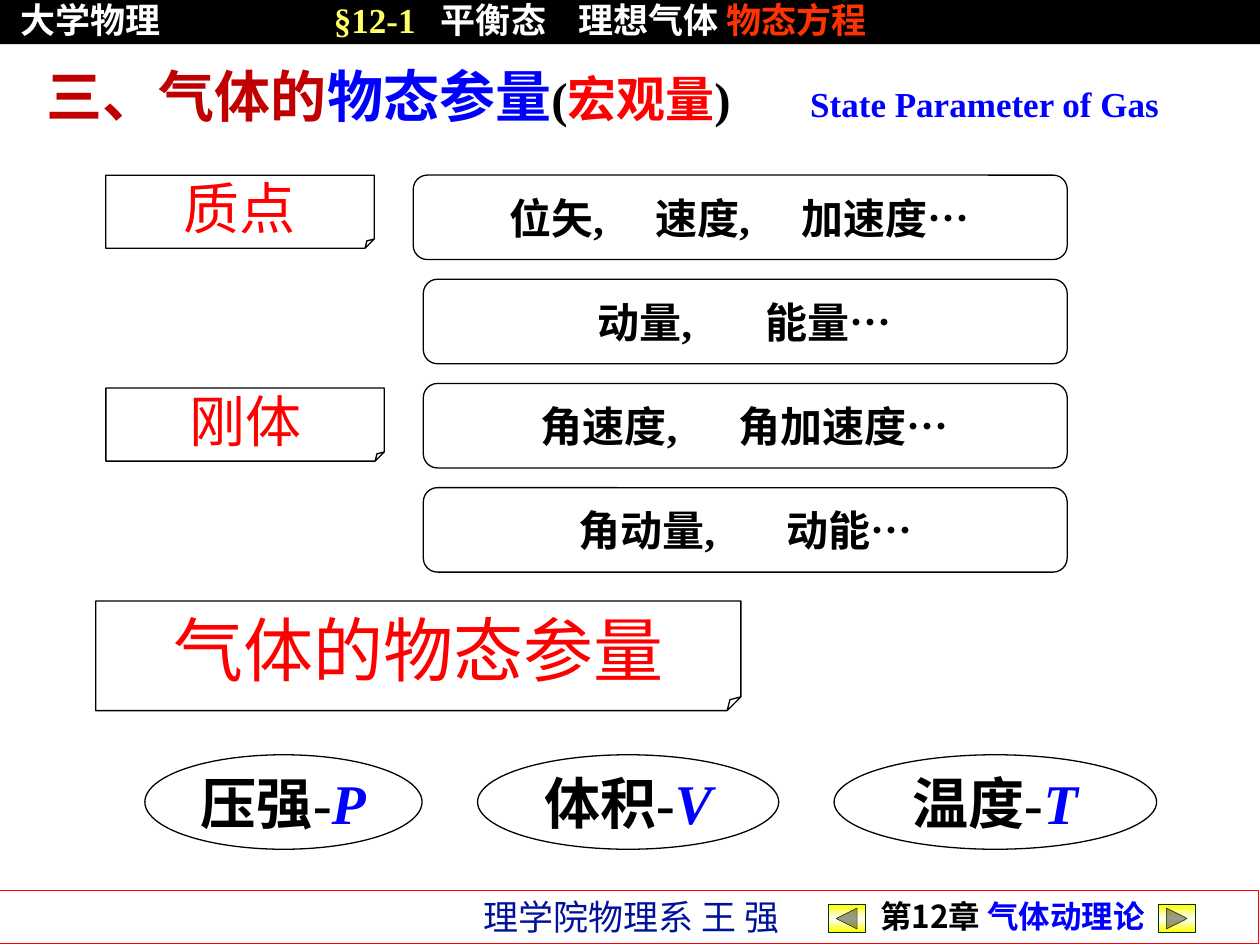
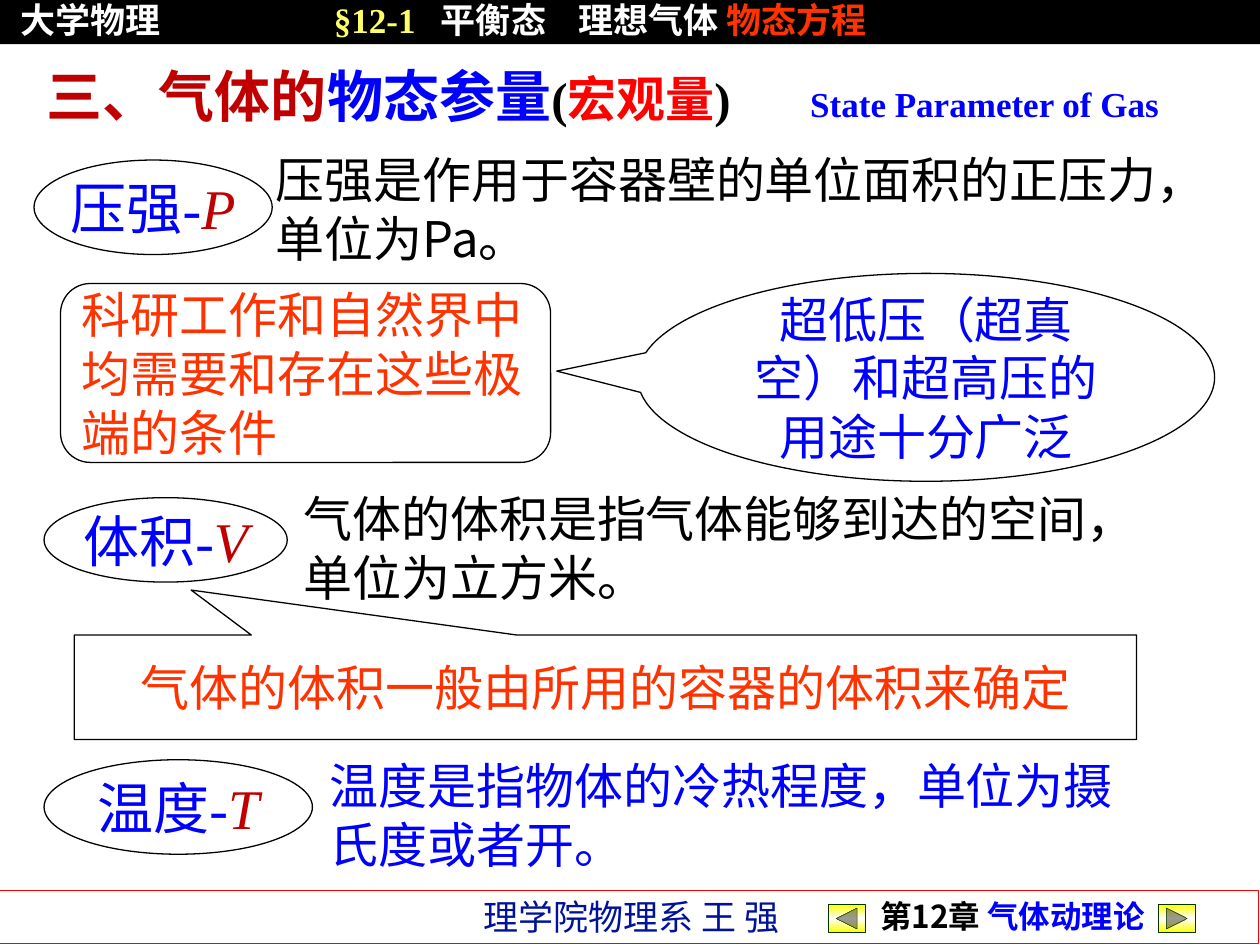
from lxml.etree import SubElement
from pptx import Presentation
from pptx.dml.color import RGBColor
from pptx.enum.shapes import MSO_SHAPE as Preset
from pptx.enum.text import MSO_ANCHOR as Anchor, MSO_AUTO_SIZE as AutoSize, PP_ALIGN as Align
from pptx.oxml.ns import qn
from pptx.util import Inches, Pt

COLORS = {
    "black": "000000", "white": "FFFFFF", "yellow": "FFFF00", "pale": "FFFF66",
    "orange": "FF3300", "red": "FF0000", "wine": "C00000", "blue": "0000FF",
    "navy": "00129A", "green": "003300",
}
SERIF, SANS = "Times New Roman", "Noto Sans CJK SC"
COLUMNS, ROWS = 100, 75
TITLE_ONLY = 5


def color(key):
    """Return the palette colour of that name."""
    return RGBColor.from_string(COLORS[key])


def write(paragraph, text, size=28, hue="black", face=SERIF, bold=False, italic=False):
    """Add one formatted run to a paragraph."""
    run = paragraph.add_run()
    run.text = text
    font = run.font
    font.size, font.name, font.bold, font.italic = Pt(size), face, bold, italic
    font.color.rgb = color(hue)
    SubElement(font._element, qn("a:ea"), typeface=SANS)


class Deck:
    """Holds the style and the current slide, and draws each kind of element."""

    def __init__(self):
        """Start an empty deck."""
        self.show = Presentation()
        self.show.slide_width, self.show.slide_height = Inches(10), Inches(7.5)
        self.slide = None

    def area(self, left, top, width, height):
        """Turn grid columns and rows into slide lengths."""
        column, row = self.show.slide_width / COLUMNS, self.show.slide_height / ROWS
        return [round(n * unit) for n, unit in zip((left, top, width, height), (column, row) * 2)]

    def fill_text(self, holder, lines, align=Align.LEFT, anchor=Anchor.TOP, wrap=True,
                  stops=(), start=0, spacing=None, **base):
        """Write lines of (text, format) runs, with stops as slide columns."""
        frame = holder.text_frame
        frame.word_wrap, frame.auto_size, frame.vertical_anchor = wrap, AutoSize.NONE, anchor
        frame.margin_left = frame.margin_right = Inches(0.1)
        frame.margin_top = frame.margin_bottom = Inches(0.05)
        if stops:
            frame.margin_left = self.area(stops[0] - start, 0, 0, 0)[0]
        for index, runs in enumerate(lines):
            paragraph = frame.add_paragraph() if index else frame.paragraphs[0]
            paragraph.alignment = align
            if spacing:
                paragraph.line_spacing = spacing
            if stops[1:]:
                tabs = SubElement(paragraph._p.get_or_add_pPr(), qn("a:tabLst"))
                for stop in stops[1:]:
                    reach = self.area(stop - stops[0], 0, 0, 0)[0]
                    SubElement(tabs, qn("a:tab"), pos=str(reach), algn="l")
            for text, style in runs:
                write(paragraph, text, **{**base, **style})

    def shape(self, preset, area, lines=(), adjust=None, fill=None, line="black", weight=0.75, **text):
        """Draw a preset shape, with centred text unless told otherwise."""
        figure = self.slide.shapes.add_shape(preset, *self.area(*area))
        figure.shadow.inherit = False
        if adjust:
            guides = figure._element.spPr.find(".//" + qn("a:avLst"))
            guides.clear()
            for name, share in adjust.items():
                SubElement(guides, qn("a:gd"), name=name, fmla=f"val {round(share * 100000)}")
        if fill:
            figure.fill.solid()
            figure.fill.fore_color.rgb = color(fill)
        else:
            figure.fill.background()
        if line:
            figure.line.color.rgb, figure.line.width = color(line), Pt(weight)
        else:
            figure.line.fill.background()
        defaults = dict(align=Align.CENTER, anchor=Anchor.MIDDLE, wrap=False, start=area[0])
        self.fill_text(figure, lines, **{**defaults, **text})
        return figure

    def note(self, area, lines, **text):
        """Place a plain text box."""
        self.fill_text(self.slide.shapes.add_textbox(*self.area(*area)), lines, **text)

    def button(self, preset, left):
        """Draw a navigation button with a yellow sheen."""
        button = self.shape(preset, (left, 71.8, 3, 2.2), line="green", weight=0.25)
        button.fill.gradient()
        button.fill.gradient_angle = 90
        sheen = button._element.spPr.find(".//" + qn("a:gsLst"))
        sheen.clear()
        for share, hue in ((0, "yellow"), (50, "white"), (100, "yellow")):
            stop = SubElement(sheen, qn("a:gs"), pos=str(share * 1000))
            SubElement(stop, qn("a:srgbClr"), val=COLORS[hue])

    def quantity(self, area, name, symbol, hue, accent, bold=False):
        """Draw an oval with a quantity and its symbol."""
        runs = [(name + "-", dict(hue=hue)), (symbol, dict(hue=accent, italic=True))]
        self.shape(Preset.OVAL, area, [runs], size=32, bold=bold)

    def new_slide(self):
        """Add a slide with the shared band, footer and title."""
        self.slide = self.show.slides.add_slide(self.show.slide_layouts[TITLE_ONLY])
        title = self.slide.shapes.title
        title.left, title.top, title.width, title.height = self.area(2.7, 4.4, 96.1, 6.4)
        self.fill_text(title, [[
            ("三、气体的", dict(hue="wine")), ("物态参量", dict(hue="blue")),
            ("(", dict(size=28)), ("宏观量", dict(size=28, hue="red")), (")\t", dict(size=28)),
            ("State Parameter of Gas", dict(size=20, hue="blue")),
        ]], size=32, bold=True, stops=(3.7, 64.3), start=2.7)
        self.shape(Preset.RECTANGLE, (0, 0, 100, 3.5), [[
            ("大学物理\t", dict(hue="white", face=SANS)), ("§12-1\t", dict(hue="pale")),
            ("平衡态\t理想气体 ", dict(hue="white")), ("物态方程", dict(hue="orange")),
        ]], fill="black", line=None, size=20, bold=True, align=Align.LEFT, anchor=Anchor.TOP,
            wrap=True, stops=(1.6, 26.5, 35, 45.9), spacing=0.8)
        self.note((64.9, 71.3, 30.9, 3.4), [[("第12章", {}), (" 气体动理论", dict(hue="blue"))]],
                  size=18, face=SANS, bold=True, align=Align.CENTER, spacing=0.8)
        self.note((37.4, 70.6, 27, 4.4), [[("理学院物理系 王 强", {})]],
                  size=20, face=SANS, hue="navy", wrap=False)
        self.shape(Preset.RECTANGLE, (-0.1, 70.7, 100, 4.2), line="red")
        self.button(Preset.ACTION_BUTTON_BACK_OR_PREVIOUS, 65.7)
        self.button(Preset.ACTION_BUTTON_FORWARD_OR_NEXT, 91.9)


def parameters(deck):
    """Build the overview of state parameters."""
    deck.new_slide()
    for area, subject, size in (
        ((8.4, 13.9, 21.3, 5.8), "质点", 32),
        ((8.4, 30.8, 22.1, 5.8), "刚体", 32),
        ((7.6, 47.7, 51.2, 8.7), "气体的物态参量", 40),
    ):
        deck.shape(Preset.FOLDED_CORNER, area, [[(subject, {})]], adjust=dict(adj=0.125),
                   size=size, hue="red")
    features = (
        (32.8, "位矢,\t速度,\t加速度…", (40.1, 51.7, 63.3)),
        (33.6, "动量,\t能量…", (47.1, 60.4)),
        (33.6, "角速度,\t角加速度…", (42.6, 58.3)),
        (33.6, "角动量,\t动能…", (45.6, 62.1)),
    )
    for row, (left, feature, stops) in enumerate(features):
        deck.shape(Preset.ROUNDED_RECTANGLE, (left, 13.9 + 8.27 * row, 84.7 - left, 6.7),
                   [[(feature, {})]], size=24, bold=True,
                   align=Align.LEFT, wrap=True, stops=stops)
    for left, width, name, symbol in (
        (11.5, 22, "压强", "P"), (37.9, 23.9, "体积", "V"), (66.2, 25.6, "温度", "T"),
    ):
        deck.quantity((left, 59.9, width, 7.5), name, symbol, "black", "blue", bold=True)


def definitions(deck):
    """Build the definitions of pressure, volume and temperature."""
    deck.new_slide()
    for oval, name, symbol, area, hue, meaning in (
        ((2.7, 12.7, 18.9, 7.5), "压强", "P", (20.9, 11.4, 78.4, 10.4), "black",
         ("压强是作用于容器壁的单位面积的正压力，", "单位为Pa。")),
        ((3.5, 39.5, 19.3, 6.7), "体积", "V", (23.1, 38.3, 76.1, 10.4), "black",
         ("气体的体积是指气体能够到达的空间，", "单位为立方米。")),
        ((3.5, 60.3, 21.3, 7.5), "温度", "T", (25.2, 59.5, 65.8, 10.4), "blue",
         ("温度是指物体的冷热程度，单位为摄氏度或者开。",)),
    ):
        deck.quantity(oval, name, symbol, "blue", "wine")
        deck.note(area, [[(line, {})] for line in meaning], face=SANS, hue=hue)
    deck.shape(Preset.OVAL_CALLOUT, (50.6, 21.7, 45.8, 16.5),
               [[("超低压（超真空）和超高压的用途十分广泛", {})]],
               adjust=dict(adj1=-0.64, adj2=-0.03), hue="blue", wrap=True)
    conditions = ("科研工作和自然界中", "均需要和存在这些极", "端的条件")
    deck.shape(Preset.ROUNDED_RECTANGLE, (4.8, 22.5, 38.9, 14.2),
               [[(line, {})] for line in conditions], hue="orange", align=Align.LEFT)
    deck.shape(Preset.RECTANGULAR_CALLOUT, (5.9, 50.4, 84.3, 8.3),
               [[("气体的体积一般由所用的容器的体积来确定", {})]],
               adjust=dict(adj1=-0.39, adj2=-0.93), hue="orange", wrap=True)


def main():
    """Build and save the deck."""
    deck = Deck()
    parameters(deck)
    definitions(deck)
    deck.show.save("out.pptx")


if __name__ == "__main__":
    main()
